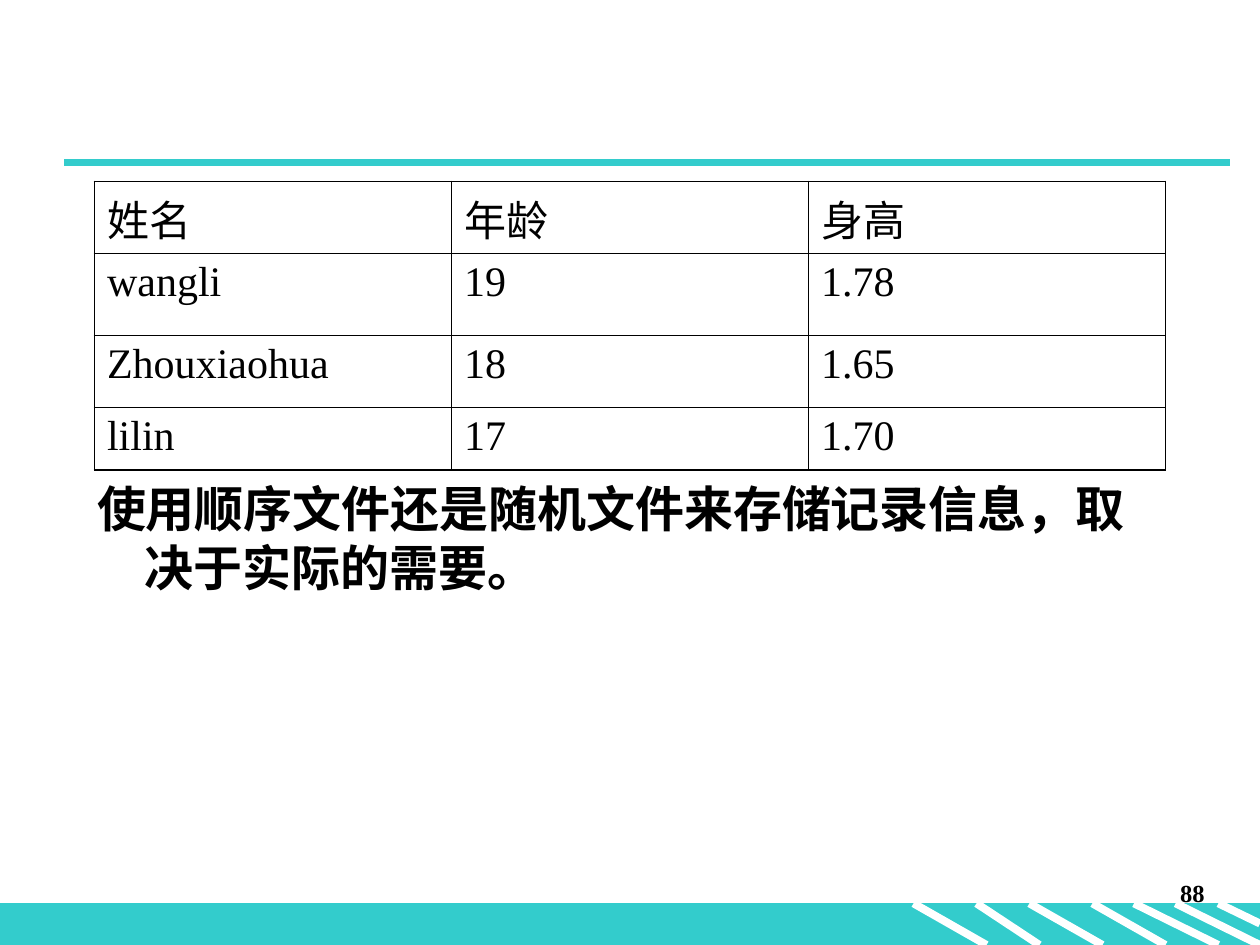
from typing import NamedTuple

from lxml.etree import SubElement
from pptx import Presentation
from pptx.dml.color import RGBColor
from pptx.enum.shapes import MSO_CONNECTOR, MSO_SHAPE
from pptx.enum.text import MSO_ANCHOR, MSO_AUTO_SIZE, PP_ALIGN
from pptx.oxml.ns import qn
from pptx.util import Inches, Pt

COLORS = {"teal": "33CCCC", "white": "FFFFFF", "black": "000000"}
FONT = "Times New Roman"
THIN, THICK = 0.45, 1.08

ROWS = [
    ("姓名", "年龄", "身高"),
    ("wangli", "19", "1.78"),
    ("Zhouxiaohua", "18", "1.65"),
    ("lilin", "17", "1.70"),
]
ROW_HEIGHTS = [0.57, 0.65, 0.57, 0.5]


class Line(NamedTuple):
    x1: float
    y1: float
    x2: float
    y2: float
    color: str = "white"


BAND_TOP, BAND_BOTTOM = 7.17, 7.5
STRIPES = [
    Line(x1, BAND_TOP, x2, BAND_BOTTOM)
    for x1, x2 in [(7.25, 7.83), (7.75, 8.25), (8.17, 8.75),
                   (8.67, 9.25), (9, 9.67), (9.33, 10)]
] + [Line(9.67, BAND_TOP, 10, 7.33)]
TITLE_RULE = Line(0.51, 1.29, 9.76, 1.29, "teal")


def rgb(name: str) -> RGBColor:
    return RGBColor.from_string(COLORS[name])


def draw_line(s, line: Line) -> None:
    c = s.shapes.add_connector(
        MSO_CONNECTOR.STRAIGHT, *map(Inches, (line.x1, line.y1, line.x2, line.y2)))
    c.line.color.rgb = rgb(line.color)
    c.line.width = Pt(4.5)
    SubElement(c._element.spPr, qn("a:effectLst"))


def draw_band(s) -> None:
    sp = s.shapes.add_shape(MSO_SHAPE.RECTANGLE, 0, Inches(BAND_TOP),
                            Inches(10), Inches(BAND_BOTTOM - BAND_TOP))
    sp.shadow.inherit = False
    sp.fill.solid()
    sp.fill.fore_color.rgb = rgb("teal")
    sp.line.color.rgb = rgb("teal")
    sp.line.width = Pt(0.75)


def set_text(tf, text: str, size: float, before: float, bold: bool = False):
    tf.text = text
    p = tf.paragraphs[0]
    p.space_before = Pt(before)
    font = p.runs[0].font
    font.name, font.size, font.bold = FONT, Pt(size), bold
    font.color.rgb = rgb("black")
    return p


def set_borders(cell, widths: dict[str, float]) -> None:
    """Set border widths in points, keyed by side in schema order."""
    tcPr = cell._tc.get_or_add_tcPr()
    for i, (side, width) in enumerate(widths.items()):
        ln = SubElement(tcPr, qn(f"a:ln{side}"), w=str(Pt(width)))
        fill = SubElement(ln, qn("a:solidFill"))
        SubElement(fill, qn("a:srgbClr"), val=COLORS["black"])
        tcPr.insert(i, ln)


def draw_table(s) -> None:
    n_rows, n_cols = len(ROWS), len(ROWS[0])
    table = s.shapes.add_table(n_rows, n_cols, Inches(0.75), Inches(1.44),
                               Inches(8.5), Inches(sum(ROW_HEIGHTS))).table
    table.first_row = table.horz_banding = False
    for i, (values, height) in enumerate(zip(ROWS, ROW_HEIGHTS)):
        table.rows[i].height = Inches(height)
        for j, value in enumerate(values):
            cell = table.cell(i, j)
            cell.fill.background()
            set_text(cell.text_frame, value, 24, 6)
            set_borders(cell, {
                "L": THICK if j == 0 else THIN,
                "R": THICK if j == n_cols - 1 else THIN,
                "T": THICK if i == 0 else THIN,
                "B": THICK if i == n_rows - 1 else THIN,
            })


def draw_conclusion(body) -> None:
    body.left, body.top = Inches(0.67), Inches(3.75)
    body.width, body.height = Inches(8.43), Inches(1.04)
    tf = body.text_frame
    tf.auto_size = MSO_AUTO_SIZE.SHAPE_TO_FIT_TEXT
    tf.vertical_anchor = MSO_ANCHOR.TOP
    p = set_text(tf, "使用顺序文件还是随机文件来存储记录信息，取决于实际的需要。",
                 28, 17.5, bold=True)
    pPr = p._p.get_or_add_pPr()
    pPr.set("marL", str(Inches(0.38)))
    pPr.set("indent", str(Inches(-0.38)))
    SubElement(pPr, qn("a:buNone"))


def draw_page_number(s) -> None:
    tf = s.shapes.add_textbox(Inches(7.58), Inches(6.92),
                              Inches(2.08), Inches(0.5)).text_frame
    tf.word_wrap = True
    p = set_text(tf, "88", 14, 8.8, bold=True)
    p.alignment = PP_ALIGN.RIGHT


def main() -> None:
    prs = Presentation()
    prs.slide_width, prs.slide_height = Inches(10), Inches(7.5)
    s = prs.slides.add_slide(prs.slide_layouts[1])
    title = s.shapes.title._element
    title.getparent().remove(title)

    draw_band(s)
    for line in [*STRIPES, TITLE_RULE]:
        draw_line(s, line)
    draw_page_number(s)
    draw_table(s)
    draw_conclusion(s.placeholders[1])
    prs.save("out.pptx")


if __name__ == "__main__":
    main()
